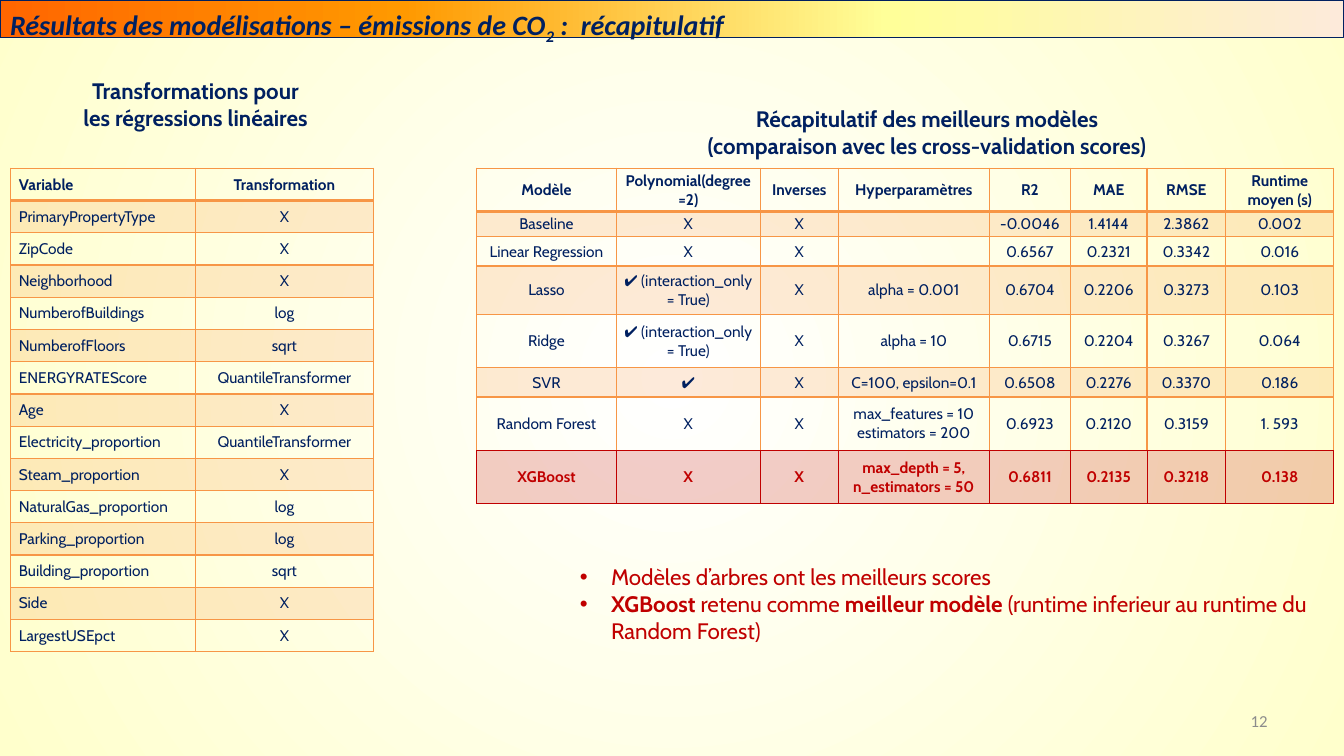
from lxml import etree
from pptx import Presentation
from pptx.dml.color import RGBColor
from pptx.enum.text import MSO_ANCHOR, MSO_AUTO_SIZE, PP_ALIGN
from pptx.oxml import parse_xml
from pptx.oxml.ns import nsdecls, qn
from pptx.util import Inches, Pt

LEFT, CENTER, RIGHT, JUSTIFY = PP_ALIGN.LEFT, PP_ALIGN.CENTER, PP_ALIGN.RIGHT, PP_ALIGN.JUSTIFY
TOP, MIDDLE = MSO_ANCHOR.TOP, MSO_ANCHOR.MIDDLE
NO_FIT = MSO_AUTO_SIZE.NONE
PLAIN_TABLE = "{2D5ABB26-0587-4C30-8999-92F81FD0307C}"
NAVY, RED, ORANGE, GREY = "002060", "C00000", "F79646", "8C8C8C"
LINEAR = '<a:lin ang="0" scaled="0"/>'
CIRCLE = '<a:path path="circle"><a:fillToRect l="50000" t="50000" r="50000" b="50000"/></a:path>'

TRANSFORMATIONS = [
    ("Variable", "Transformation"),
    ("PrimaryPropertyType", "X"),
    ("ZipCode", "X"),
    ("Neighborhood", "X"),
    ("NumberofBuildings", "log"),
    ("NumberofFloors", "sqrt"),
    ("ENERGYRATEScore", "QuantileTransformer"),
    ("Age", "X"),
    ("Electricity_proportion", "QuantileTransformer"),
    ("Steam_proportion", "X"),
    ("NaturalGas_proportion", "log"),
    ("Parking_proportion", "log"),
    ("Building_proportion", "sqrt"),
    ("Side", "X"),
    ("LargestUSEpct", "X"),
]
INTERACTION = "✔ (interaction_only = True)"
MODELS = [
    ("Modèle", "Polynomial(degree=2)", "Inverses", "Hyperparamètres", "R2", "MAE", "RMSE", "Runtime moyen (s)"),
    ("Baseline", "X", "X", "", "-0.0046", "1.4144", "2.3862", "0.002"),
    ("Linear Regression", "X", "X", "", "0.6567", "0.2321", "0.3342", "0.016"),
    ("Lasso", INTERACTION, "X", "alpha = 0.001", "0.6704", "0.2206", "0.3273", "0.103"),
    ("Ridge", INTERACTION, "X", "alpha = 10", "0.6715", "0.2204", "0.3267", "0.064"),
    ("SVR", "✔", "X", "C=100, epsilon=0.1", "0.6508", "0.2276", "0.3370", "0.186"),
    ("Random Forest", "X", "X", "max_features = 10 estimators = 200", "0.6923", "0.2120", "0.3159", "1. 593"),
    ("XGBoost", "X", "X", "max_depth = 5, n_estimators = 50", "0.6811", "0.2135", "0.3218", "0.138"),
]


def rgb(color):
    return RGBColor.from_string(color)


class Deck:
    font = "Cabin"

    def __init__(self, width, height):
        self.prs = Presentation()
        self.prs.slide_width, self.prs.slide_height = Inches(width), Inches(height)
        self.s = self.prs.slides.add_slide(self.prs.slide_layouts[1])

    def box(self, x, y, w, h):
        sw, sh = self.prs.slide_width, self.prs.slide_height
        return [int(share * side / 100) for share, side in ((x, sw), (y, sh), (w, sw), (h, sh))]

    def place(self, sp, share):
        sp.left, sp.top, sp.width, sp.height = self.box(*share)

    def gradient(self, fill, element, stops, direction):
        fill.solid()
        fill.fore_color.rgb = rgb(stops[0][1])
        marks = "".join(
            f'<a:gs pos="{pos * 1000}"><a:srgbClr val="{color}"/></a:gs>' for pos, color in stops)
        solid = element.find(".//" + qn("a:solidFill"))
        solid.getparent().replace(solid, parse_xml(
            f'<a:gradFill {nsdecls("a")} rotWithShape="1"><a:gsLst>{marks}</a:gsLst>{direction}</a:gradFill>'))

    def background(self, stops):
        self.gradient(self.s.background.fill, self.s.element, stops, CIRCLE)

    def add_runs(self, p, runs, size, color, align=LEFT, font=None):
        p.alignment = align
        for text, bold in runs:
            r = p.add_run()
            r.text = text
            r.font.name, r.font.size, r.font.bold = font or self.font, Pt(size), bold
            r.font.color.rgb = rgb(color)

    def title(self, share, runs, stops):
        sp = self.s.shapes.title
        self.place(sp, share)
        self.gradient(sp.fill, sp.element, stops, LINEAR)
        sp.line.color.rgb, sp.line.width = rgb(NAVY), Pt(0.75)
        tf = sp.text_frame
        tf.auto_size, tf.vertical_anchor, tf.margin_top = NO_FIT, TOP, Inches(0.07)
        p = tf.paragraphs[0]
        p.line_spacing = 0.95
        self.add_runs(p, [(text, True) for text, _ in runs], 20, NAVY, font="Calibri")
        for r, (_, baseline) in zip(p.runs, runs):
            r.font.italic = True
            r.font._element.set("baseline", str(baseline * 1000))

    def bullets(self, share, items, size, color):
        sp = self.s.placeholders[1]
        self.place(sp, share)
        tf = sp.text_frame
        tf.auto_size, tf.vertical_anchor = NO_FIT, TOP
        for i, (align, runs) in enumerate(items):
            p = tf.add_paragraph() if i else tf.paragraphs[0]
            p.space_before = Pt(0)
            self.add_runs(p, runs, size, color, align)
            pPr = p._p.get_or_add_pPr()
            pPr.set("marL", str(Inches(0.31)))
            pPr.set("indent", str(-Inches(0.31)))
            etree.SubElement(pPr, qn("a:buFont")).set("typeface", "Arial")
            etree.SubElement(pPr, qn("a:buChar")).set("char", "•")

    def text(self, share, lines, size, color, align=CENTER, bold=True, font=None, anchor=TOP):
        tf = self.s.shapes.add_textbox(*self.box(*share)).text_frame
        tf.word_wrap, tf.vertical_anchor = True, anchor
        for i, line in enumerate(lines):
            p = tf.add_paragraph() if i else tf.paragraphs[0]
            self.add_runs(p, [(line, bold)], size, color, align, font)

    def cell(self, cell, text, align, bold, color, margins, fill, edges):
        cell.vertical_anchor = MIDDLE
        cell.margin_left = cell.margin_right = Inches(margins[0])
        cell.margin_top = cell.margin_bottom = Inches(margins[1])
        p = cell.text_frame.paragraphs[0]
        if text:
            self.add_runs(p, [(text, bold)], 11, color, align)
        else:
            etree.SubElement(p._p, qn("a:endParaRPr")).set("sz", "1100")
        tcPr = cell._tc.get_or_add_tcPr()
        for side, (edge, width) in zip("LRTB", edges):
            tcPr.append(parse_xml(
                f'<a:ln{side} {nsdecls("a")} w="{Pt(width)}"><a:solidFill><a:srgbClr val="{edge}"/>'
                f'</a:solidFill></a:ln{side}>'))
        if not fill:
            cell.fill.background()
            return
        cell.fill.solid()
        cell.fill.fore_color.rgb = rgb(fill)
        tint = tcPr.find(qn("a:solidFill")).find(qn("a:srgbClr"))
        etree.SubElement(tint, qn("a:alpha")).set("val", "20000")

    def table(self, share, rows, widths, heights, margins, first_align=CENTER, best=None):
        x, y, w, h = self.box(*share)
        frame = self.s.shapes.add_table(len(rows), len(widths), x, y, w, h)
        table = frame.table
        table.first_row = table.horz_banding = False
        table._tbl.tblPr.find(qn("a:tableStyleId")).text = PLAIN_TABLE
        for column, weight in zip(table.columns, widths):
            column.width = int(w * weight / sum(widths))
        for row, weight in zip(table.rows, heights):
            row.height = int(h * weight / sum(heights))
        thin, thick, strong = (ORANGE, 1), (ORANGE, 2), (RED, 0.75)
        above = thin
        for i, values in enumerate(rows):
            is_best = i == best
            side = strong if is_best else thin
            below = thick if i == 0 else strong if best in (i, i + 1) else thin
            fill = RED if is_best else ORANGE if i % 2 else None
            for j, value in enumerate(values):
                self.cell(table.cell(i, j), value, CENTER if j else first_align, i == 0 or is_best,
                          RED if is_best else NAVY, margins, fill, (side, side, above, below))
            above = below


def main():
    deck = Deck(13.33, 7.5)
    deck.background([(0, "FFFFFF"), (100, "FFFFCC")])
    deck.title((0, 0, 100, 4.93),
               [("Résultats des modélisations – émissions de CO", 0), ("2", -25), (" :  récapitulatif", 0)],
               [(0, "FF6600"), (30, "FF9900"), (66, "FFFF99"), (100, "FDEADA")])
    deck.text((-2.63, 9.6, 34.36, 8.53), ["Transformations pour", "les régressions linéaires"], 16, NAVY)
    deck.text((50.19, 13.2, 37.58, 8.53),
              ["Récapitulatif des meilleurs modèles", "(comparaison avec les cross-validation scores)"], 16, NAVY)
    deck.table((0.8, 22.27, 27, 64), TRANSFORMATIONS, [1.83, 1.77], [1] * len(TRANSFORMATIONS),
               (0.08, 0.04), first_align=LEFT)
    deck.table((35.48, 22.27, 63.77, 44.4), MODELS, [1.38, 1.43, 0.77, 1.5, 0.8, 0.76, 0.78, 1.07],
               [0.43, 0.25, 0.29, 0.48, 0.53, 0.29, 0.53, 0.53], (0.06, 0.03), best=len(MODELS) - 1)
    deck.bullets((42.39, 73.87, 56.79, 15.73), [
        (JUSTIFY, [("Modèles d’arbres ont les meilleurs scores", False)]),
        (LEFT, [("XGBoost", True), (" retenu comme ", False), ("meilleur modèle ", True),
                ("(runtime inferieur au runtime du Random Forest)", False)]),
    ], 16, RED)
    deck.text((71.72, 92.67, 23.33, 5.33), ["12"], 12, GREY, RIGHT, False, "Calibri", MIDDLE)
    deck.prs.save("out.pptx")


if __name__ == "__main__":
    main()
